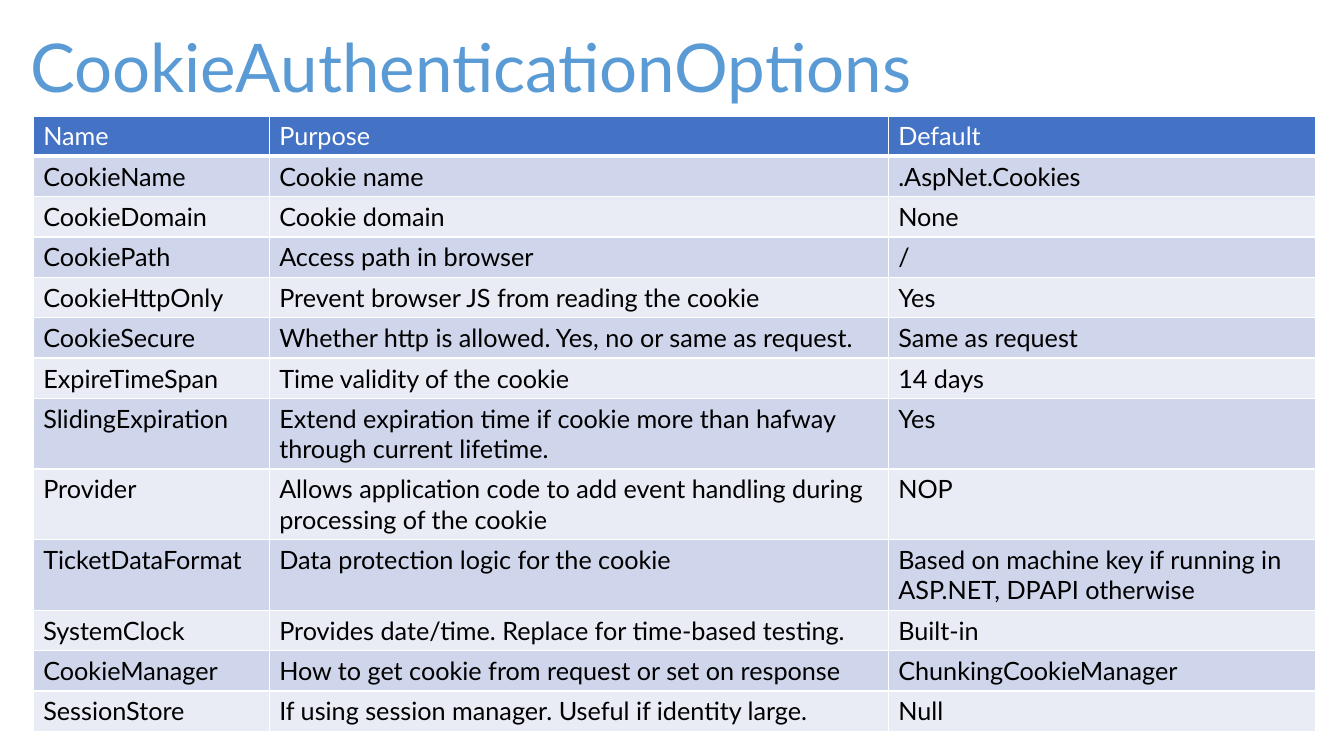
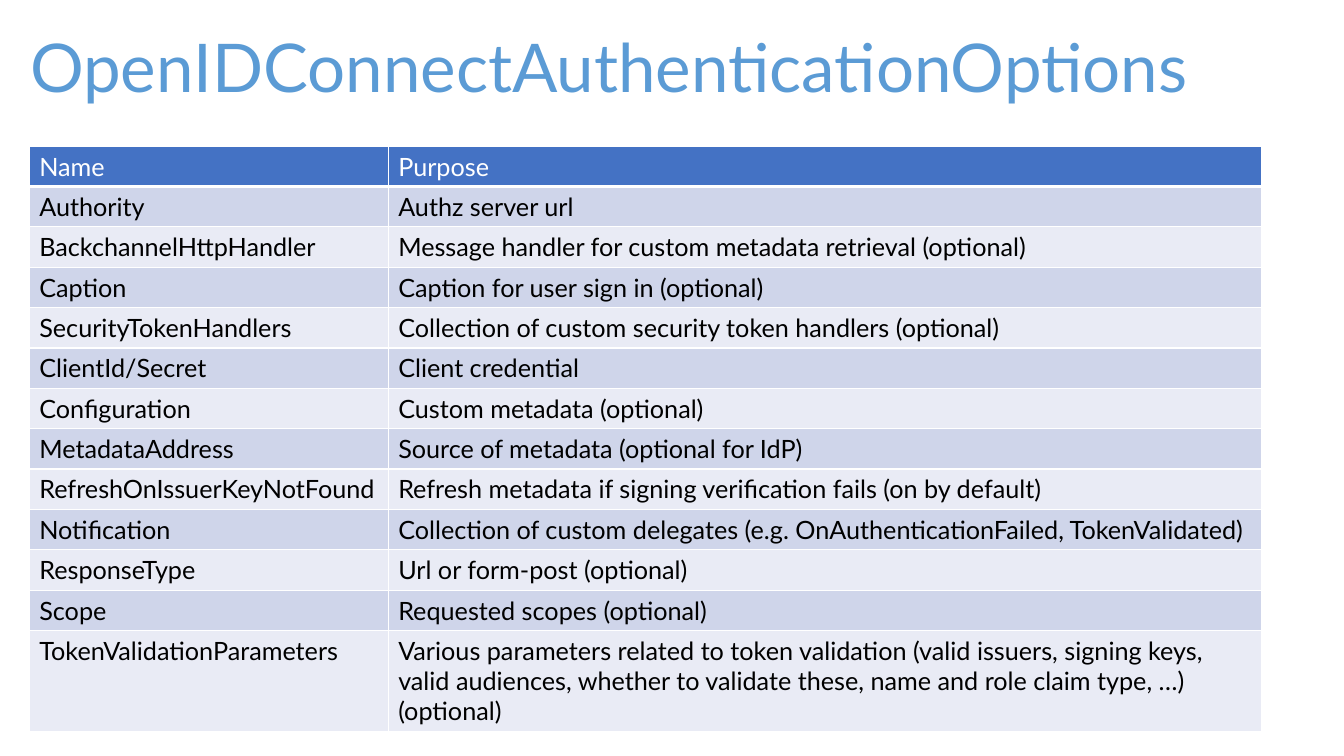
"""Build two slides listing authentication options in tables."""
from dataclasses import dataclass

from lxml import etree
from pptx import Presentation
from pptx import util as u
from pptx.dml.color import RGBColor
from pptx.enum import text as t
from pptx.oxml import ns

PX = 9144
FONT = "Lato"
WHITE, BLACK = "FFFFFF", "000000"
TITLE_COLOUR, HEADER_FILL = "5B9BD5", "4472C4"
BAND_FILLS = ("CFD5EA", "E9EBF5")
TITLE_BOX = (20, 20, 1299, 100)
TITLE_SIZE, CELL_SIZE = 48, 18
TITLE_ONLY = 5
ROW, TALL_ROW = 40, 69


@dataclass(frozen=True)
class Option:
    """One table row: its cell texts and height."""
    cells: tuple[str, ...]
    height: int = ROW


@dataclass(frozen=True)
class OptionsPage:
    """One slide: its title, table place, column widths and rows."""
    title: str
    left: int
    top: int
    columns: tuple[int, ...]
    options: tuple[Option, ...]


COOKIE_PAGE = OptionsPage(
    "CookieAuthenticationOptions", 33, 115, (234, 614, 424), (
        Option(("Name", "Purpose", "Default")),
        Option(("CookieName", "Cookie name", ".AspNet.Cookies")),
        Option(("CookieDomain", "Cookie domain", "None")),
        Option(("CookiePath", "Access path in browser", "/")),
        Option(("CookieHttpOnly", "Prevent browser JS from reading the cookie", "Yes")),
        Option(("CookieSecure", "Whether http is allowed. Yes, no or same as request.",
                "Same as request")),
        Option(("ExpireTimeSpan", "Time validity of the cookie", "14 days")),
        Option(("SlidingExpiration",
                "Extend expiration time if cookie more than hafway through current lifetime.",
                "Yes"), TALL_ROW),
        Option(("Provider",
                "Allows application code to add event handling during processing of the cookie",
                "NOP"), TALL_ROW),
        Option(("TicketDataFormat", "Data protection logic for the cookie",
                "Based on machine key if running in ASP.NET, DPAPI otherwise"), TALL_ROW),
        Option(("SystemClock", "Provides date/time. Replace for time-based testing.", "Built-in")),
        Option(("CookieManager", "How to get cookie from request or set on response",
                "ChunkingCookieManager")),
        Option(("SessionStore", "If using session manager. Useful if identity large.", "Null")),
    ))

OPENID_PAGE = OptionsPage(
    "OpenIDConnectAuthenticationOptions", 29, 145, (356, 866), (
        Option(("Name", "Purpose")),
        Option(("Authority", "Authz server url")),
        Option(("BackchannelHttpHandler",
                "Message handler for custom metadata retrieval (optional)")),
        Option(("Caption", "Caption for user sign in (optional)")),
        Option(("SecurityTokenHandlers",
                "Collection of custom security token handlers (optional)")),
        Option(("ClientId/Secret", "Client credential")),
        Option(("Configuration", "Custom metadata (optional)")),
        Option(("MetadataAddress", "Source of metadata (optional for IdP)")),
        Option(("RefreshOnIssuerKeyNotFound",
                "Refresh metadata if signing verification fails (on by default)")),
        Option(("Notification",
                "Collection of custom delegates (e.g. OnAuthenticationFailed, TokenValidated)")),
        Option(("ResponseType", "Url or form-post (optional)")),
        Option(("Scope", "Requested scopes (optional)")),
        Option(("TokenValidationParameters",
                "Various parameters related to token validation (valid issuers, signing keys, "
                "valid audiences, whether to validate these, name and role claim type, …) "
                "(optional)"), TALL_ROW),
    ))


def px(length: int) -> u.Emu:
    return u.Emu(length * PX)


def colour(value: str) -> RGBColor:
    return RGBColor.from_string(value)


def write(paragraph, words: str, size: int, ink: str) -> None:
    run = paragraph.add_run()
    run.text = words
    run.font.name = FONT
    run.font.size = u.Pt(size)
    run.font.bold = False
    run.font.color.rgb = colour(ink)


def add_title(slide, words: str) -> None:
    title = slide.shapes.title
    title.left, title.top, title.width, title.height = map(px, TITLE_BOX)
    frame = title.text_frame
    frame.word_wrap = True
    frame.auto_size = t.MSO_AUTO_SIZE.NONE
    frame.vertical_anchor = t.MSO_ANCHOR.MIDDLE
    heading = frame.paragraphs[0]
    heading.alignment = t.PP_ALIGN.LEFT
    heading.line_spacing = 0.9
    write(heading, words, TITLE_SIZE, TITLE_COLOUR)


def add_borders(cell, bottom: float) -> None:
    properties = cell._tc.get_or_add_tcPr()
    for side, points in (("L", 1), ("R", 1), ("T", 1), ("B", bottom)):
        line = etree.SubElement(properties, ns.qn(f"a:ln{side}"), w=str(u.Pt(points)))
        fill = etree.SubElement(line, ns.qn("a:solidFill"))
        etree.SubElement(fill, ns.qn("a:srgbClr"), val=WHITE)


def fill_cell(cell, words: str, row: int) -> None:
    header = row == 0
    add_borders(cell, 3 if header else 1)
    cell.fill.solid()
    cell.fill.fore_color.rgb = colour(HEADER_FILL if header else BAND_FILLS[(row - 1) % 2])
    cell.margin_left = cell.margin_right = px(10)
    cell.margin_top = cell.margin_bottom = px(5)
    write(cell.text_frame.paragraphs[0], words, CELL_SIZE, WHITE if header else BLACK)


def add_options_table(slide, page: OptionsPage) -> None:
    height = sum(option.height for option in page.options)
    table = slide.shapes.add_table(
        len(page.options), len(page.columns),
        px(page.left), px(page.top), px(sum(page.columns)), px(height)).table
    for column, width in zip(table.columns, page.columns):
        column.width = px(width)
    for index, option in enumerate(page.options):
        table.rows[index].height = px(option.height)
        for cell, words in zip(table.rows[index].cells, option.cells):
            fill_cell(cell, words, index)


def main() -> None:
    deck = Presentation()
    deck.slide_width, deck.slide_height = px(1333), px(750)
    for page in (COOKIE_PAGE, OPENID_PAGE):
        slide = deck.slides.add_slide(deck.slide_layouts[TITLE_ONLY])
        add_title(slide, page.title)
        add_options_table(slide, page)
    deck.save("out.pptx")


if __name__ == "__main__":
    main()
